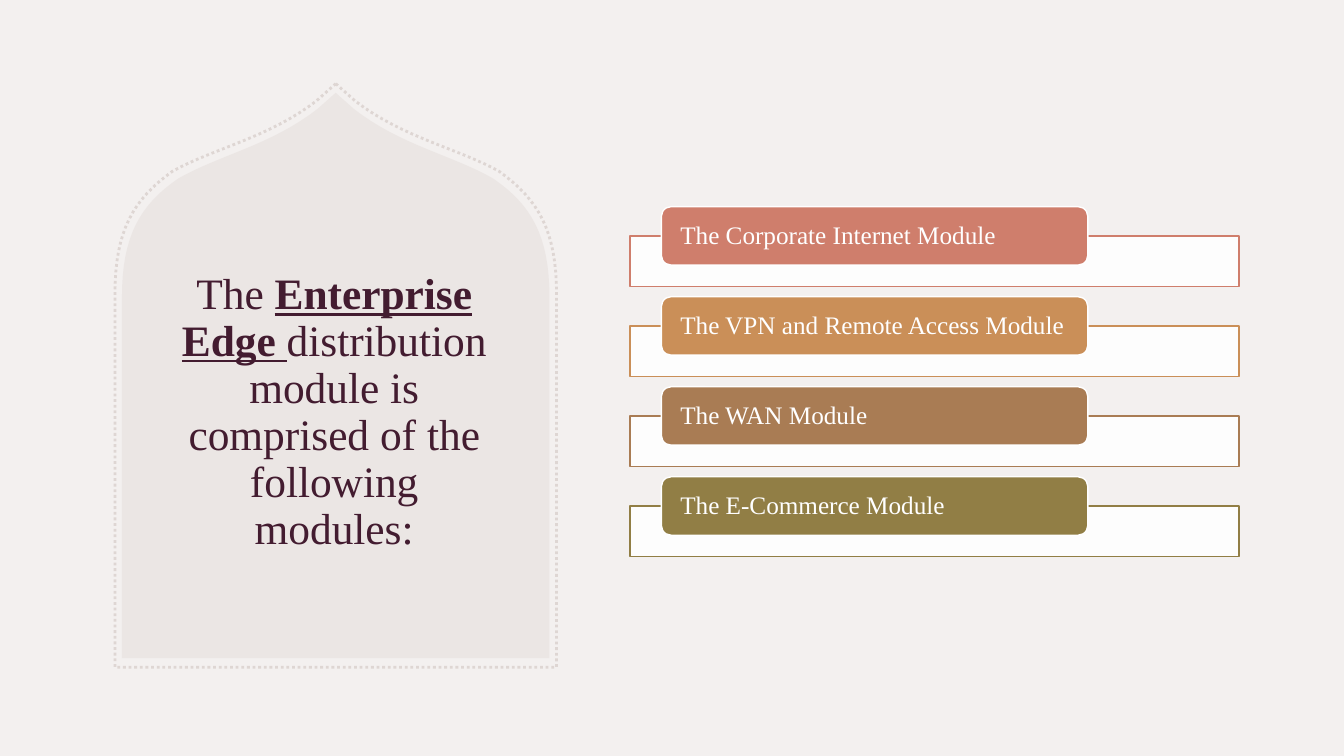
from dataclasses import dataclass
from typing import Any

from lxml.etree import SubElement
from pptx import Presentation
from pptx.dml.color import RGBColor
from pptx.enum.dml import MSO_LINE
from pptx.enum.shapes import MSO_SHAPE
from pptx.enum.text import MSO_ANCHOR, PP_ALIGN
from pptx.oxml.ns import qn
from pptx.util import Inches, Pt

COLORS = {
    "page": "F3F0EF",
    "arch": "BFAFAA",
    "dots": "DED6D3",
    "plum": "431C30",
    "white": "FFFFFF",
    "rose": "CF7E6C",
    "gold": "CA8F58",
    "brown": "A97C54",
    "olive": "917E45",
}
FONT = "Times New Roman"
CENTER = 3.33
TOP = 2.34
PITCH = 2.68 / 3
STEPS = 16

Point = tuple[float, float]


@dataclass
class Arch:
    tip: Point
    neck: Point
    curves: list[tuple[Point, Point, Point]]
    base: Point


@dataclass
class Module:
    label: str
    color: str


INNER = Arch((0, 0.92), (0.18, 1.08), [
    ((0.64, 1.44), (1.16, 1.54), (1.56, 1.77)),
    ((1.94, 2.03), (2.12, 2.34), (2.12, 2.95)),
], (2.12, 6.53))
OUTER = Arch((0, 0.83), (0.19, 1), [
    ((0.67, 1.37), (1.21, 1.47), (1.62, 1.7)),
    ((2.01, 1.98), (2.19, 2.29), (2.19, 2.92)),
], (2.19, 6.62))

MODULES = [
    Module("The Corporate Internet Module", "rose"),
    Module("The VPN and Remote Access Module", "gold"),
    Module("The WAN Module", "brown"),
    Module("The E-Commerce Module", "olive"),
]
TITLE = [
    ("The ", False),
    ("Enterprise Edge ", True),
    ("distribution module is comprised of the following modules:", False),
]


def rgb(name: str) -> RGBColor:
    return RGBColor.from_string(COLORS[name])


def apply(target: Any, values: dict[str, Any]) -> None:
    for key, value in values.items():
        setattr(target, key, value)


def paint(shape: Any, fill: str | None, line: str | None,
          alpha: int = 100, width: float = 1) -> None:
    shape.shadow.inherit = False
    if fill:
        shape.fill.solid()
        shape.fill.fore_color.rgb = rgb(fill)
        if alpha < 100:
            color = shape._element.spPr.find(qn("a:solidFill"))[0]
            SubElement(color, qn("a:alpha")).set("val", str(alpha * 1000))
    else:
        shape.fill.background()
    if line:
        shape.line.color.rgb = rgb(line)
        shape.line.width = Pt(width)
    else:
        shape.line.fill.background()


def curve(a: Point, b: Point, c: Point, d: Point) -> list[Point]:
    points = []
    for step in range(1, STEPS + 1):
        t = step / STEPS
        u = 1 - t
        points.append(tuple(
            u**3 * p + 3 * u * u * t * q + 3 * u * t * t * r + t**3 * s
            for p, q, r, s in zip(a, b, c, d)
        ))
    return points


def draw_arch(slide: Any, arch: Arch) -> Any:
    half = [arch.tip, arch.neck]
    for bend in arch.curves:
        half += curve(half[-1], *bend)
    half.append(arch.base)
    mirror = [(-x, y) for x, y in reversed(half[1:])]
    points = [(Inches(CENTER + x), Inches(y)) for x, y in half + mirror]
    pen = slide.shapes.build_freeform(*points[0])
    pen.add_line_segments(points[1:], close=True)
    return pen.convert_to_shape()


def write(part: Any, text: str, size: float, color: str,
          strong: bool = False) -> None:
    run = part.add_run()
    run.text = text
    apply(run.font, {"name": FONT, "size": Pt(size),
                     "bold": strong, "underline": strong})
    run.font.color.rgb = rgb(color)


def draw_title(slide: Any) -> None:
    box = slide.shapes.add_textbox(
        Inches(1.61), Inches(2.52), Inches(3.41), Inches(3.15))
    frame = box.text_frame
    apply(frame, {"word_wrap": True, "vertical_anchor": MSO_ANCHOR.MIDDLE})
    part = frame.paragraphs[0]
    apply(part, {"alignment": PP_ALIGN.CENTER, "line_spacing": 0.9})
    for text, strong in TITLE:
        write(part, text, 31, "plum", strong)


def draw_module(slide: Any, module: Module, top: float) -> None:
    bar = slide.shapes.add_shape(
        MSO_SHAPE.RECTANGLE,
        Inches(6.25), Inches(top), Inches(6.04), Inches(0.5))
    paint(bar, "white", module.color, alpha=90)
    pill = slide.shapes.add_shape(
        MSO_SHAPE.ROUNDED_RECTANGLE,
        Inches(6.56), Inches(top - 0.29), Inches(4.23), Inches(0.58))
    paint(pill, module.color, "white")
    frame = pill.text_frame
    apply(frame, {
        "word_wrap": True,
        "vertical_anchor": MSO_ANCHOR.MIDDLE,
        "margin_left": Inches(0.16),
        "margin_right": Inches(0.1),
        "margin_top": 0,
        "margin_bottom": 0,
    })
    part = frame.paragraphs[0]
    apply(part, {"alignment": PP_ALIGN.LEFT, "line_spacing": 0.9})
    write(part, module.label, 18, "white")


def main() -> None:
    deck = Presentation()
    apply(deck, {"slide_width": Inches(13.33), "slide_height": Inches(7.5)})
    slide = deck.slides.add_slide(deck.slide_layouts[6])
    slide.background.fill.solid()
    slide.background.fill.fore_color.rgb = rgb("page")

    paint(draw_arch(slide, INNER), "arch", None, alpha=15)
    rim = draw_arch(slide, OUTER)
    paint(rim, None, "dots", width=2)
    rim.line.dash_style = MSO_LINE.ROUND_DOT

    draw_title(slide)
    for i, module in enumerate(MODULES):
        draw_module(slide, module, TOP + i * PITCH)
    deck.save("out.pptx")


if __name__ == "__main__":
    main()
